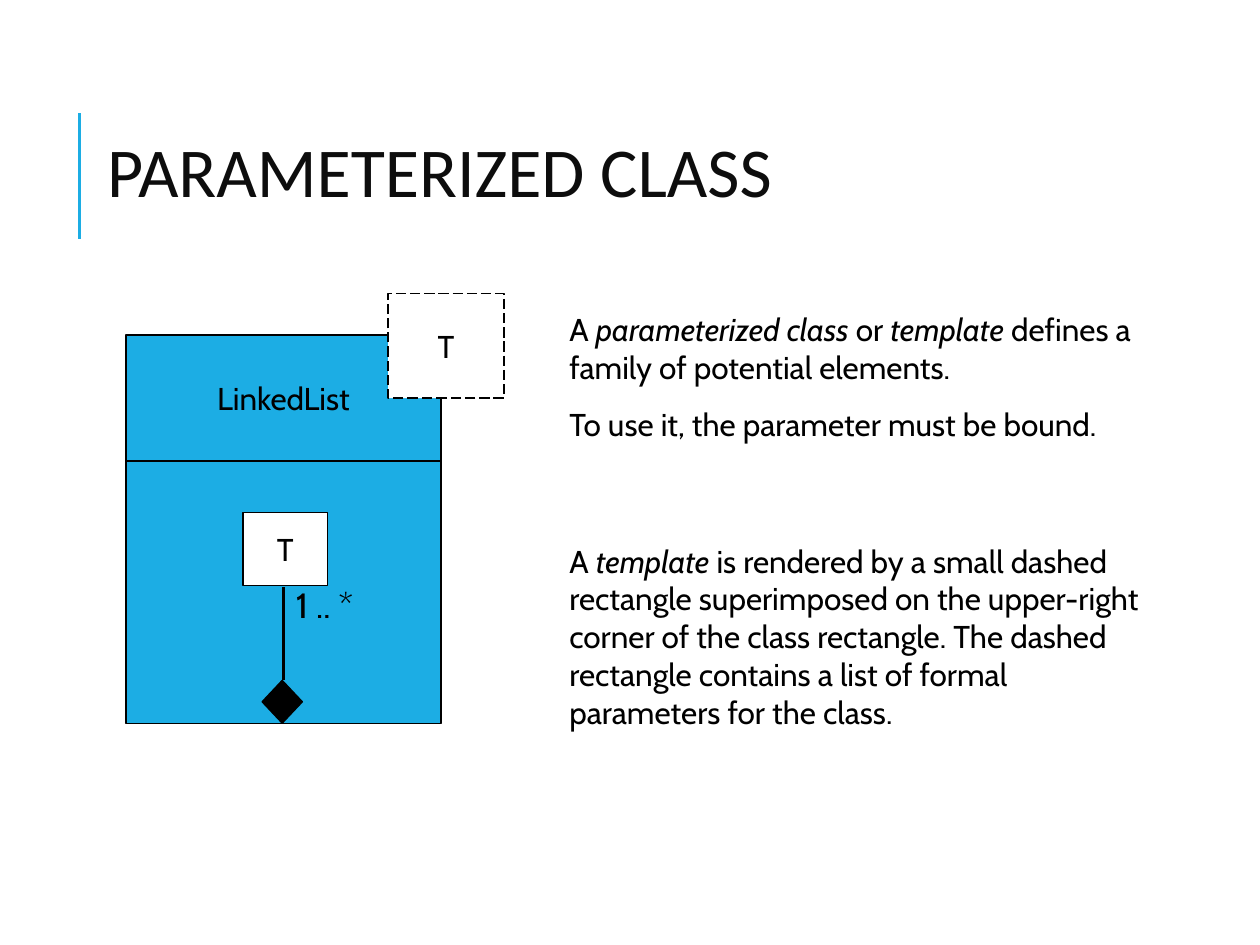
from pptx import Presentation
from pptx.dml.color import RGBColor
from pptx.enum.dml import MSO_LINE
from pptx.enum.shapes import MSO_CONNECTOR, MSO_SHAPE
from pptx.enum.text import MSO_ANCHOR, MSO_AUTO_SIZE, PP_ALIGN
from pptx.oxml.ns import qn
from pptx.util import Inches, Pt
from lxml import etree

RECT, DIAMOND = MSO_SHAPE.RECTANGLE, MSO_SHAPE.DIAMOND
STRAIGHT, LONG_DASH = MSO_CONNECTOR.STRAIGHT, MSO_LINE.LONG_DASH
MIDDLE, LEFT, CENTER = MSO_ANCHOR.MIDDLE, PP_ALIGN.LEFT, PP_ALIGN.CENTER
NO_FIT = MSO_AUTO_SIZE.NONE
BLUE, BLACK, WHITE, INK = "1CADE4", "000000", "FFFFFF", "0D0D0D"


def rgb(value):
    return RGBColor.from_string(value)


def style(run, size, name="Cabin", color=BLACK, italic=False):
    run.font.size = Pt(size)
    run.font.name = name
    run.font.italic = italic
    run.font.color.rgb = rgb(color)


prs = Presentation()
prs.slide_width, prs.slide_height = Inches(10), Inches(7.5)
s = prs.slides.add_slide(prs.slide_layouts[5])

title = s.shapes.title
title.left, title.top = Inches(0.75), Inches(1.12)
title.width, title.height = Inches(8.58), Inches(0.58)
tf = title.text_frame
tf.text = "PARAMETERIZED CLASS"
tf.auto_size = NO_FIT
tf.vertical_anchor = MIDDLE
p = tf.paragraphs[0]
p.alignment = LEFT
p.line_spacing = 0.8
style(p.runs[0], 40, "Calibri", INK)

boxes = [
    (RECT, 1, 2.66, 2.5, 1, BLUE, None, "LinkedList"),
    (RECT, 3.08, 2.33, 0.92, 0.83, WHITE, LONG_DASH, "T"),
    (RECT, 1, 3.66, 2.5, 2.08, BLUE, None, ""),
    (RECT, 1.93, 4.07, 0.67, 0.58, WHITE, None, "T"),
    (DIAMOND, 2.08, 5.4, 0.32, 0.34, BLACK, None, ""),
]
for kind, x, y, w, h, fill, dash, label in boxes:
    sp = s.shapes.add_shape(kind, Inches(x), Inches(y), Inches(w), Inches(h))
    sp.shadow.inherit = False
    sp.fill.solid()
    sp.fill.fore_color.rgb = rgb(fill)
    sp.line.color.rgb = rgb(BLACK)
    sp.line.width = Pt(0.75)
    if dash:
        sp.line.dash_style = dash
    if label:
        tf = sp.text_frame
        tf.text = label
        tf.word_wrap = False
        tf.vertical_anchor = MIDDLE
        p = tf.paragraphs[0]
        p.alignment = CENTER
        style(p.runs[0], 18)

for x, y1, y2, color in [(0.63, 0.9, 1.9, BLUE), (2.25, 4.66, 5.4, BLACK)]:
    line = s.shapes.add_connector(STRAIGHT, Inches(x), Inches(y1), Inches(x), Inches(y2))
    line.line.color.rgb = rgb(color)
    line.line.width = Pt(1.5)
    etree.SubElement(line._element.spPr, qn("a:effectLst"))

notes = [
    (2.25, 4.58, 0.92, 0.44, 20, [[("1 .. *", False)]]),
    (4.42, 2.41, 4.67, 1.76, 18, [
        [("A ", False), ("parameterized class", True), (" or ", False),
         ("template", True), (" defines a family of potential elements.", False)],
        [("To use it, the parameter must be bound.", False)],
    ]),
    (4.42, 4.25, 4.92, 1.9, 18, [
        [("A ", False), ("template ", True),
         ("is rendered by a small dashed rectangle superimposed on the "
          "upper-right corner of the class rectangle. The dashed rectangle "
          "contains a list of formal parameters for the class.", False)],
    ]),
]
for x, y, w, h, size, paragraphs in notes:
    sp = s.shapes.add_textbox(Inches(x), Inches(y), Inches(w), Inches(h))
    tf = sp.text_frame
    tf.word_wrap = True
    for i, runs in enumerate(paragraphs):
        p = tf.add_paragraph() if i else tf.paragraphs[0]
        if i:
            p.space_before = Pt(11.2)
        for text, italic in runs:
            r = p.add_run()
            r.text = text
            style(r, size, italic=italic)

prs.save("out.pptx")
